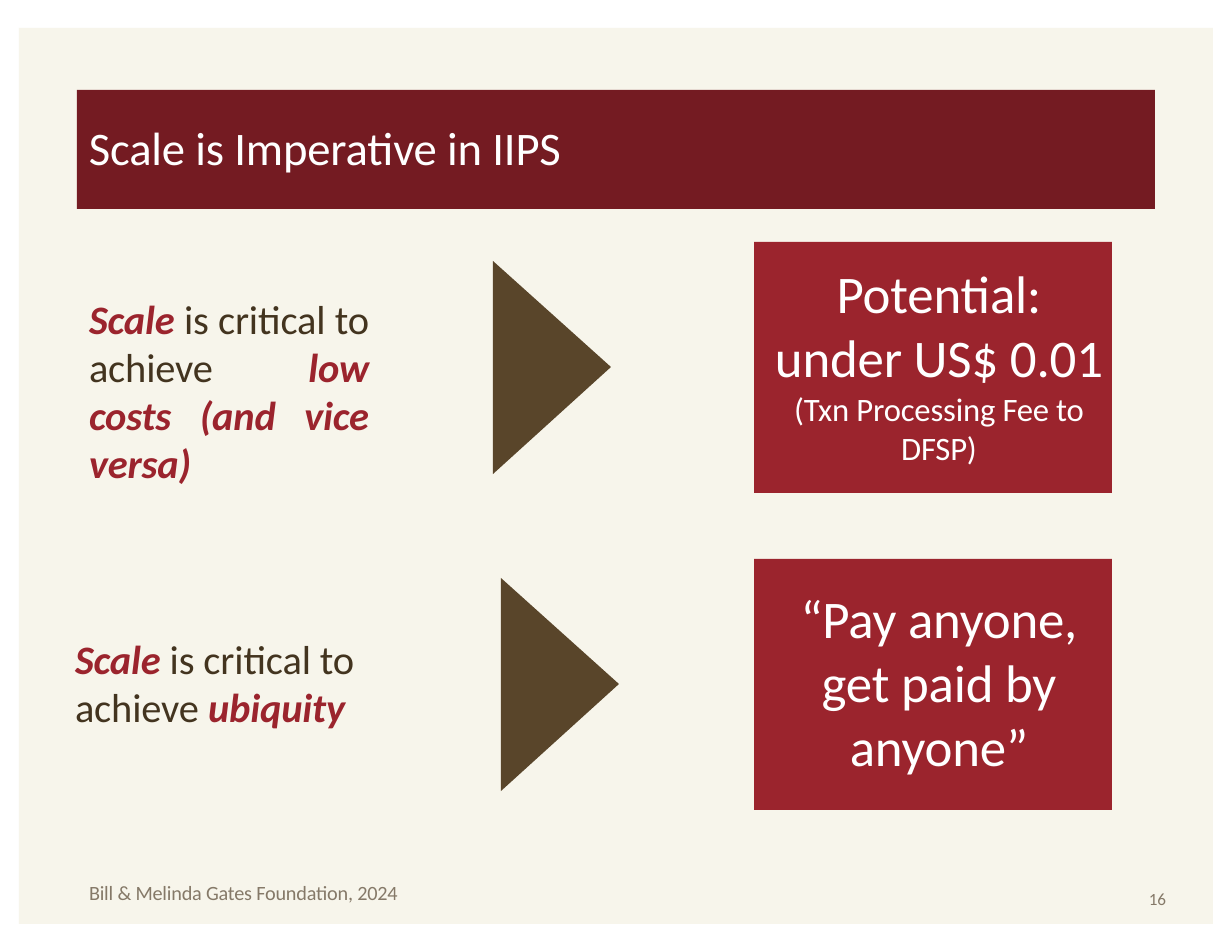
from pptx import Presentation
from pptx.dml.color import RGBColor
from pptx.enum.shapes import MSO_SHAPE
from pptx.enum.text import MSO_ANCHOR, PP_ALIGN
from pptx.util import Pt

RECT = MSO_SHAPE.RECTANGLE
TOP = MSO_ANCHOR.TOP
LEFT, CENTER, JUSTIFY = PP_ALIGN.LEFT, PP_ALIGN.CENTER, PP_ALIGN.JUSTIFY

CREAM = RGBColor(0xF7, 0xF5, 0xEB)
MAROON = RGBColor(0x74, 0x1B, 0x22)
RED = RGBColor(0x9B, 0x24, 0x2D)
BROWN = RGBColor(0x59, 0x45, 0x2A)
DARK = RGBColor(0x43, 0x34, 0x1F)
GRAY = RGBColor(0x85, 0x79, 0x68)
WHITE = RGBColor(0xFF, 0xFF, 0xFF)

PX = 914400 / 112


def paint(shape, color):
    shape.shadow.inherit = False
    shape.fill.solid()
    shape.fill.fore_color.rgb = color
    shape.line.fill.background()


def write(shape, paras, inset, indent=1, align=LEFT, line=None):
    """Fill a shape with paragraphs of (text, size, color, strong) runs."""
    frame = shape.text_frame
    frame.word_wrap = True
    frame.vertical_anchor = TOP
    frame.margin_left = frame.margin_right = frame.margin_bottom = 0
    frame.margin_top = round(inset * PX)
    for i, runs in enumerate(paras):
        para = frame.add_paragraph() if i else frame.paragraphs[0]
        para.alignment = align
        para.line_spacing = line
        para._p.get_or_add_pPr().set("marL", str(round(indent * PX)))
        for text, size, color, strong in runs:
            for j, part in enumerate(text.split("\n")):
                if j:
                    para.add_line_break()
                run = para.add_run()
                run.text = part
                font = run.font
                font.name = "Calibri"
                font.size = Pt(size)
                font.color.rgb = color
                font.bold = font.italic = strong
                run._r.get_or_add_rPr().set("spc", "-10")


deck = Presentation()
deck.slide_width = round(1232 * PX)
deck.slide_height = round(952 * PX)
slide = deck.slides.add_slide(deck.slide_layouts[6])
shapes = slide.shapes

# Page panel and title bar
panel = shapes.add_shape(RECT, *(round(n * PX) for n in (19, 28, 1194, 896)))
paint(panel, CREAM)
title = shapes.add_shape(RECT, *(round(n * PX) for n in (77, 90, 1078, 119)))
paint(title, MAROON)
write(title, [[("Scale is Imperative in IIPS", 30, WHITE, False)]], 29, 12)

# Two rows: claim, arrow, result
ROW = 317
claims = [
    ((88, 291, 281, 148), JUSTIFY, "is critical to achieve ",
     "low costs (and vice versa)"),
    ((74, 631, 284, 100), LEFT, "is critical to\nachieve ", "ubiquity"),
]
results = [
    (18, 12, [[("Potential:\nunder US$ 0.01", 34, WHITE, False)],
              [("(Txn Processing Fee to\nDFSP)", 21, WHITE, False)]]),
    (26, 12, [[("“Pay anyone,\nget paid by\nanyone”", 34, WHITE, False)]]),
]
for i, (claim, result) in enumerate(zip(claims, results)):
    box, align, middle, goal = claim
    note = shapes.add_textbox(*(round(n * PX) for n in box))
    runs = [("Scale ", 26, RED, True), (middle, 26, DARK, False),
            (goal, 26, RED, True)]
    write(note, [runs], 3, 1, align, Pt(31))

    x, y = 493 + 8 * i, 261 + ROW * i
    path = shapes.build_freeform(x, y, scale=PX)
    path.add_line_segments([(x, y + 213), (x + 118, y + 106)], close=True)
    paint(path.convert_to_shape(), BROWN)

    inset, indent, paras = result
    card = shapes.add_shape(
        RECT, *(round(n * PX) for n in (754, 242 + ROW * i, 358, 251)))
    paint(card, RED)
    write(card, paras, inset, indent, CENTER, 1.01)

# Footer
feet = [((88, 879, 314, 27), "Bill & Melinda Gates Foundation, 2024", 13),
        ((1148, 887, 20, 24), "16", 11)]
for box, text, size in feet:
    foot = shapes.add_textbox(*(round(n * PX) for n in box))
    write(foot, [[(text, size, GRAY, False)]], 1)

deck.save("out.pptx")
